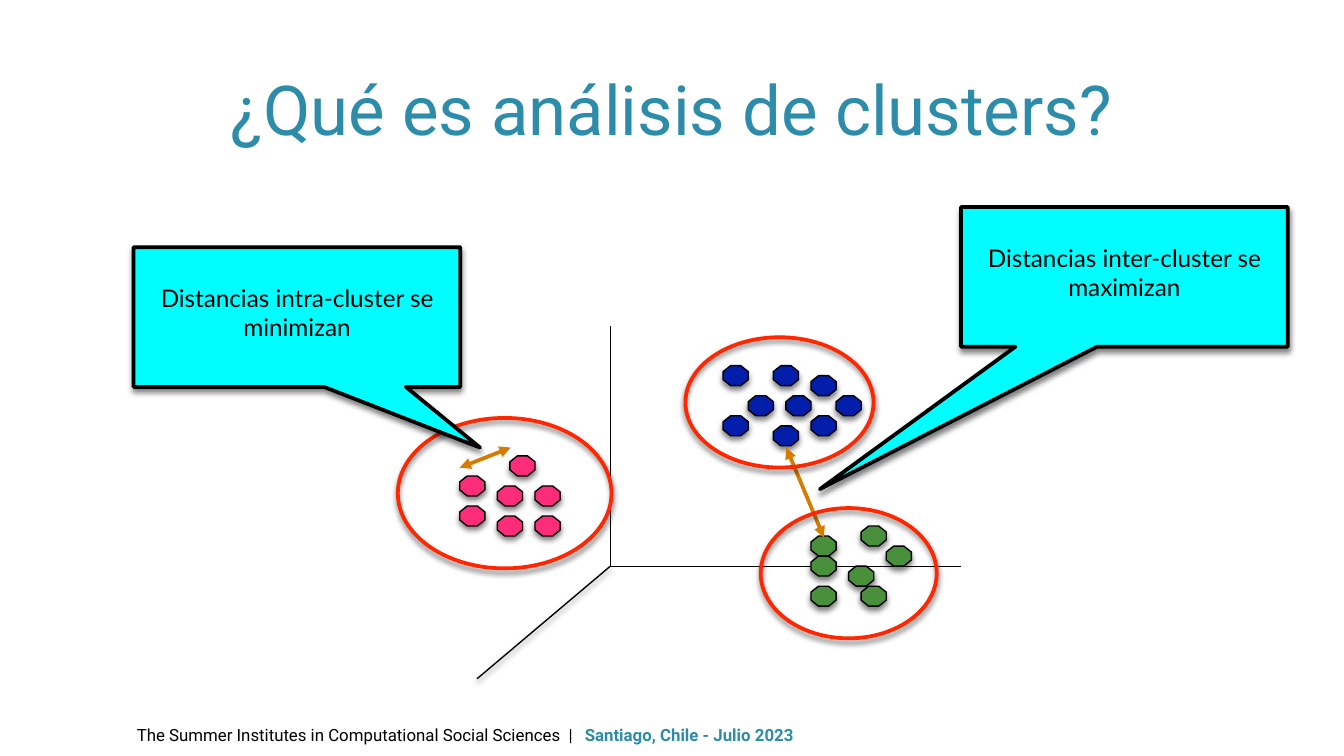
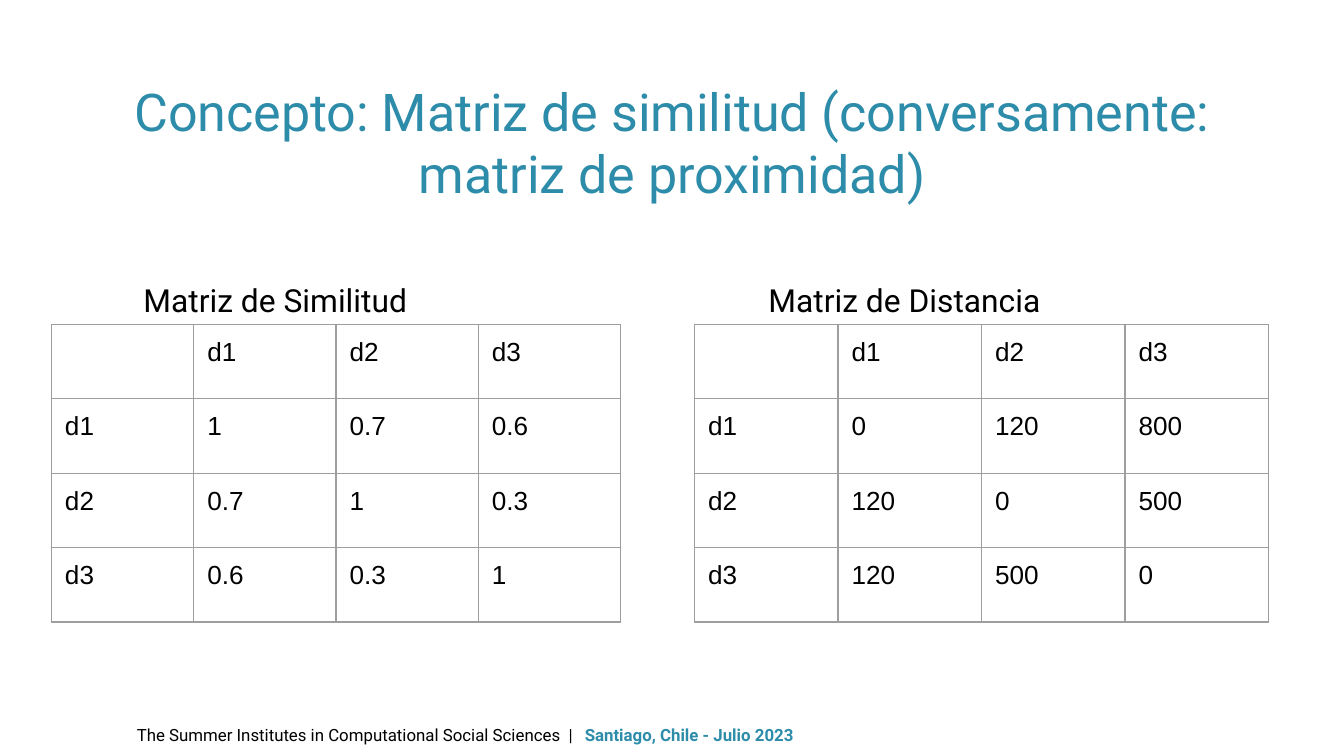
from typing import NamedTuple, Optional

from lxml.etree import SubElement
from pptx import Presentation
from pptx.dml.color import RGBColor as RGB
from pptx.enum.shapes import MSO_CONNECTOR as Conn, MSO_SHAPE as Shp
from pptx.enum.text import MSO_ANCHOR as Anchor, MSO_AUTO_SIZE as Auto, PP_ALIGN as Align
from pptx.oxml.ns import qn
from pptx.util import Pt

COLORS = {
    "teal": "2D8CA9", "black": "000000", "grid": "9E9E9E",
    "blue": "021EAA", "pink": "FF2C79", "green": "49903D",
    "cyan": "00FDFF", "red": "FF2600", "orange": "D77A00",
}
TITLE_BOX = (24.5, 35.3, 671, 45.4)
FOOTER_BOX = (66.2, 380.9, 444, 26.6)
FOOTER_TABS = (231.4, 240)

# Dots sit on a grid of half a dot's size
GRID_X, GRID_Y, STEP_X, STEP_Y = 246.3, 195.9, 6.72, 5.37
DOT_W, DOT_H = 13.5, 10.7
CALLOUT_W, CALLOUT_H, CALLOUT_TEXT_H = 175, 74.9, 69.8


class Cluster(NamedTuple):
    color: str
    dots: list[tuple[int, int]]
    ring: tuple[float, float, float, float]


class Line(NamedTuple):
    start: tuple[float, float]
    end: tuple[float, float]
    color: str = "black"
    width: float = 0.75
    arrows: bool = False
    shadow: bool = False


class Callout(NamedTuple):
    text: str
    left: float
    top: float
    tip: tuple[float, float]
    notch: tuple[int, int]  # tail base, in twelfths of the width


class Matrix(NamedTuple):
    heading: str
    heading_left: float
    left: float
    col_w: float
    values: list[list[str]]


CLUSTERS = [
    Cluster("blue", [(23, 3), (26, 3), (25, 0), (25, 6), (30, 3), (28, 1), (21, 0), (28, 5),
                     (21, 5)], (367.2, 180.7, 100.8, 69.8)),
    Cluster("pink", [(0, 11), (3, 12), (3, 15), (6, 12), (4, 9), (6, 15), (0, 14)],
            (213.1, 223.9, 114.5, 80.6)),
    Cluster("green", [(28, 17), (34, 18), (31, 20), (28, 22), (32, 22), (28, 19), (32, 16)],
            (407.5, 272.2, 94.3, 69.8)),
]
ORIGIN = (326.9, 303.4)
AXES = [
    Line((326.9, 174.5), ORIGIN),
    Line(ORIGIN, (514.8, 303.4)),
    Line(ORIGIN, (255.6, 363.6), shadow=True),
]
INTER_ARROW = Line((441.4, 288), (421.2, 239.8), "orange", 2, arrows=True)
INTRA_ARROW = Line((246.3, 250.6), (273.6, 239.8), "orange", 2, arrows=True)
INTER = Callout("Distancias inter-cluster se maximizan", 514.8, 110.9, (439.2, 262.1), (2, 5))
INTRA = Callout("Distancias intra-cluster se minimizan", 71.6, 132.4, (257.2, 239.8), (7, 10))

LABELS = ["d1", "d2", "d3"]
TABLE_TOP, ROW_H, HEADING_TOP = 173.7, 39.9, 143.3
MATRICES = [
    Matrix("Matriz de Similitud", 69.8, 27.6, 76.25,
           [["1", "0.7", "0.6"], ["0.7", "1", "0.3"], ["0.6", "0.3", "1"]]),
    Matrix("Matriz de Distancia", 404.6, 372.1, 76.9,
           [["0", "120", "800"], ["120", "0", "500"], ["120", "500", "0"]]),
]


def rgb(name: str) -> RGB:
    return RGB.from_string(COLORS[name])


def pts(*values: float) -> list[int]:
    return [Pt(v) for v in values]


def format_run(r, size: float, color: str = "black", font: str = "Roboto",
               bold: bool = False) -> None:
    r.font.size, r.font.name, r.font.bold = Pt(size), font, bold
    r.font.color.rgb = rgb(color)


def set_insets(tf, inset: float) -> None:
    tf.margin_left = tf.margin_top = tf.margin_right = tf.margin_bottom = Pt(inset)
    tf.word_wrap = True
    tf.auto_size = Auto.NONE


def add_text(s, box: tuple, text: str, size: float, font: str = "Roboto",
             inset: float = 7.2, centred: bool = False) -> None:
    tf = s.shapes.add_textbox(*pts(*box)).text_frame
    set_insets(tf, inset)
    tf.text = text
    p = tf.paragraphs[0]
    if centred:
        tf.vertical_anchor, p.alignment = Anchor.MIDDLE, Align.CENTER
    format_run(p.runs[0], size, font=font)


def add_shadow(effects) -> None:
    shadow = SubElement(effects, qn("a:outerShdw"), blurRad=str(Pt(3)), dist=str(Pt(2)),
                        dir="5400000", algn="ctr", rotWithShape="0")
    color = SubElement(shadow, qn("a:srgbClr"), val=COLORS["black"])
    SubElement(color, qn("a:alpha"), val="50000")


def style_shape(sp, fill: Optional[str], line: str, width: float) -> None:
    if fill:
        sp.fill.solid()
        sp.fill.fore_color.rgb = rgb(fill)
    else:
        sp.fill.background()
    sp.line.color.rgb, sp.line.width = rgb(line), Pt(width)
    sp.shadow.inherit = False
    add_shadow(sp._element.spPr.find(qn("a:effectLst")))


def add_polygon(s, corners: list, fill: str, width: float) -> None:
    first, *rest = [tuple(pts(*c)) for c in corners]
    builder = s.shapes.build_freeform(*first)
    builder.add_line_segments(rest, close=True)
    style_shape(builder.convert_to_shape(), fill, "black", width)


def add_dot(s, col: int, row: int, color: str) -> None:
    x, y = GRID_X + col * STEP_X, GRID_Y + row * STEP_Y
    x1, x2, x3 = x + 0.3 * DOT_W, x + 0.7 * DOT_W, x + DOT_W
    y1, y2, y3 = y + 0.3 * DOT_H, y + 0.7 * DOT_H, y + DOT_H
    add_polygon(s, [(x, y1), (x1, y), (x2, y), (x3, y1), (x3, y2), (x2, y3), (x1, y3), (x, y2)],
                color, 0.75)


def add_line(s, line: Line) -> None:
    cxn = s.shapes.add_connector(Conn.STRAIGHT, *pts(*line.start, *line.end))
    cxn.line.color.rgb, cxn.line.width = rgb(line.color), Pt(line.width)
    if line.arrows:
        for end in ("a:headEnd", "a:tailEnd"):
            SubElement(cxn.line._get_or_add_ln(), qn(end), type="triangle")
    effects = SubElement(cxn._element.spPr, qn("a:effectLst"))
    if line.shadow:
        add_shadow(effects)


def add_callout(s, c: Callout) -> None:
    right, bottom = c.left + CALLOUT_W, c.top + CALLOUT_H
    start, end = (c.left + CALLOUT_W * n / 12 for n in c.notch)
    add_polygon(s, [(c.left, c.top), (right, c.top), (right, bottom), (end, bottom), c.tip,
                    (start, bottom), (c.left, bottom)], "cyan", 2)
    add_text(s, (c.left, c.top, CALLOUT_W, CALLOUT_TEXT_H), c.text, 13, "Lato", 2.2,
             centred=True)


def add_matrix(s, m: Matrix) -> None:
    rows = [["", *LABELS]] + [[label, *vals] for label, vals in zip(LABELS, m.values)]
    n = len(rows)
    table = s.shapes.add_table(n, n, *pts(m.left, TABLE_TOP, n * m.col_w, n * ROW_H)).table
    table.first_row = table.horz_banding = False
    for i, row in enumerate(rows):
        table.rows[i].height, table.columns[i].width = Pt(ROW_H), Pt(m.col_w)
        for j, value in enumerate(row):
            format_cell(table.cell(i, j), value)
    add_text(s, (m.heading_left, HEADING_TOP, 227.5, 20.2), m.heading, 17)


def format_cell(cell, value: str) -> None:
    cell.margin_left = cell.margin_top = cell.margin_right = cell.margin_bottom = Pt(7.2)
    for side in ("L", "R", "T", "B"):
        ln = SubElement(cell._tc.get_or_add_tcPr(), qn(f"a:ln{side}"), w=str(Pt(0.75)))
        fill = SubElement(ln, qn("a:solidFill"))
        SubElement(fill, qn("a:srgbClr"), val=COLORS["grid"])
    cell.fill.background()
    if value:
        cell.text = value
        format_run(cell.text_frame.paragraphs[0].runs[0], 14, font="Arial")


def add_footer(s) -> None:
    tf = s.shapes.add_textbox(*pts(*FOOTER_BOX)).text_frame
    set_insets(tf, 7.2)
    p = tf.paragraphs[0]
    tabs = SubElement(p._p.get_or_add_pPr(), qn("a:tabLst"))
    for pos in FOOTER_TABS:
        SubElement(tabs, qn("a:tab"), pos=str(Pt(pos)), algn="l")
    for text, color, bold in (
        ("The Summer Institutes in Computational Social Sciences\t|\t", "black", False),
        ("Santiago, Chile - Julio 2023", "teal", True),
    ):
        r = p.add_run()
        r.text = text
        format_run(r, 9, color, bold=bold)


def new_slide(prs, title: str, size: float, anchor: Anchor, inset: float):
    s = prs.slides.add_slide(prs.slide_layouts[5])
    add_footer(s)
    sp = s.shapes.title
    sp.left, sp.top, sp.width, sp.height = pts(*TITLE_BOX)
    tf = sp.text_frame
    set_insets(tf, inset)
    tf.vertical_anchor = anchor
    tf.text = title
    p = tf.paragraphs[0]
    p.alignment = Align.CENTER
    format_run(p.runs[0], size, "teal")
    return s


def build_clusters(prs) -> None:
    s = new_slide(prs, "¿Qué es análisis de clusters?", 36.9, Anchor.MIDDLE, 2.9)
    for axis in AXES:
        add_line(s, axis)
    for cluster in CLUSTERS:
        for col, row in cluster.dots:
            add_dot(s, col, row, cluster.color)
    add_line(s, INTER_ARROW)
    add_callout(s, INTER)
    for cluster in CLUSTERS:
        style_shape(s.shapes.add_shape(Shp.OVAL, *pts(*cluster.ring)), None, "red", 2)
    add_line(s, INTRA_ARROW)
    add_callout(s, INTRA)


def build_matrices(prs) -> None:
    s = new_slide(prs, "Concepto: Matriz de similitud (conversamente: matriz de proximidad)",
                  27.9, Anchor.TOP, 7.2)
    for matrix in MATRICES:
        add_matrix(s, matrix)


def main() -> None:
    prs = Presentation()
    prs.slide_width, prs.slide_height = pts(720, 405)
    build_clusters(prs)
    build_matrices(prs)
    prs.save("out.pptx")


if __name__ == "__main__":
    main()
